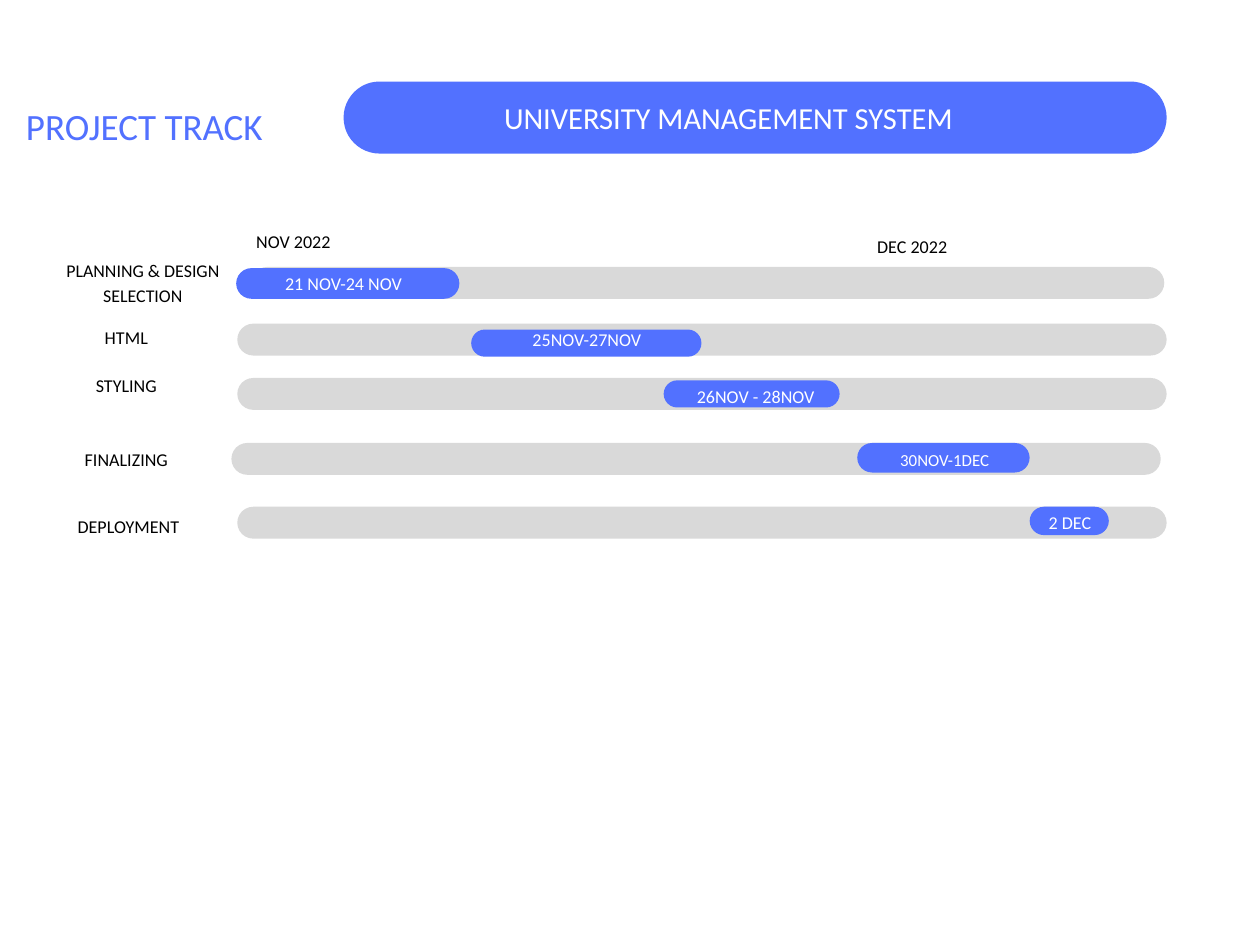
from collections import namedtuple
from pptx import Presentation
from pptx.dml.color import RGBColor
from pptx.enum.shapes import MSO_SHAPE as Shape
from pptx.enum.text import PP_ALIGN as Align
from pptx.util import Inches, Pt

COLORS = {"blue": "5271FF", "track": "D9D9D9", "ink": "000000", "white": "FFFFFF"}
FONT = "Calibri"
LINE_RATIO = 1.4

Box = namedtuple("Box", "left top width height")
Label = namedtuple("Label", "text box size", defaults=[11])
Task = namedtuple("Task", "name track bar dates")


def place(region, box):
    return [Inches(n) for n in
            (region.left + box.left, region.top + box.top, box.width, box.height)]


def add_pill(slide, region, box, color):
    pill = slide.shapes.add_shape(Shape.ROUNDED_RECTANGLE, *place(region, box))
    pill.adjustments[0] = 0.5
    pill.shadow.inherit = False
    pill.fill.solid()
    pill.fill.fore_color.rgb = RGBColor.from_string(COLORS[color])
    pill.line.fill.background()


def add_label(slide, region, label, color, align=Align.CENTER):
    frame = slide.shapes.add_textbox(*place(region, label.box)).text_frame
    frame.word_wrap = True
    frame.margin_left = frame.margin_right = frame.margin_top = frame.margin_bottom = 0
    paragraph = frame.paragraphs[0]
    paragraph.text = label.text
    paragraph.alignment = align
    paragraph.line_spacing = Pt(round(label.size * LINE_RATIO, 1))
    paragraph.font.name = FONT
    paragraph.font.size = Pt(label.size)
    paragraph.font.color.rgb = RGBColor.from_string(COLORS[color])


def add_header(slide, region):
    add_label(slide, region, Label("PROJECT TRACK", Box(0, 0.12, 3.38, 0.43), 22.6),
              "blue", Align.LEFT)
    add_pill(slide, region, Box(2.69, 0, 6.97, 0.61), "blue")
    add_label(slide, region,
              Label("UNIVERSITY MANAGEMENT SYSTEM", Box(2.24, 0.1, 7.42, 0.35), 18.6),
              "white")


def add_timeline(slide, region, months, tasks):
    for month in months:
        add_label(slide, region, month, "ink")
    for task in tasks:
        add_pill(slide, region, task.track, "track")
        add_pill(slide, region, task.bar, "blue")
        add_label(slide, region, task.name, "ink")
        add_label(slide, region, task.dates, "white")


MONTHS = [
    Label("NOV 2022", Box(1.54, 0, 0.97, 0.2)),
    Label("DEC 2022", Box(6.78, 0.04, 0.97, 0.2)),
]
TASKS = [
    Task(Label("PLANNING & DESIGN SELECTION", Box(0, 0.25, 1.5, 0.41), 10.9),
         Box(1.67, 0.34, 7.73, 0.27), Box(1.54, 0.35, 1.89, 0.26),
         Label("21 NOV-24 NOV", Box(1.67, 0.36, 1.56, 0.2))),
    Task(Label("HTML", Box(0.02, 0.81, 1.18, 0.2)),
         Box(1.55, 0.82, 7.87, 0.27), Box(3.53, 0.87, 1.95, 0.23),
         Label("25NOV-27NOV", Box(3.73, 0.83, 1.56, 0.2))),
    Task(Label("STYLING", Box(0.02, 1.22, 1.18, 0.2)),
         Box(1.55, 1.28, 7.87, 0.27), Box(5.16, 1.3, 1.49, 0.23),
         Label("26NOV - 28NOV", Box(5.16, 1.31, 1.56, 0.2))),
    Task(Label("FINALIZING", Box(0.02, 1.85, 1.18, 0.2)),
         Box(1.5, 1.83, 7.87, 0.27), Box(6.8, 1.83, 1.46, 0.25),
         Label("30NOV-1DEC", Box(6.88, 1.86, 1.32, 0.19), 10.3)),
    Task(Label(" DEPLOYMENT", Box(0.02, 2.41, 1.18, 0.2)),
         Box(1.55, 2.37, 7.87, 0.27), Box(8.26, 2.37, 0.67, 0.24),
         Label("2 DEC", Box(8.29, 2.38, 0.62, 0.2))),
]

presentation = Presentation()
presentation.slide_width = Inches(10.67)
presentation.slide_height = Inches(8)
slide = presentation.slides.add_slide(presentation.slide_layouts[6])
add_header(slide, Box(0.22, 0.69, 9.66, 0.61))
add_timeline(slide, Box(0.46, 1.92, 9.42, 2.64), MONTHS, TASKS)
presentation.save("out.pptx")
